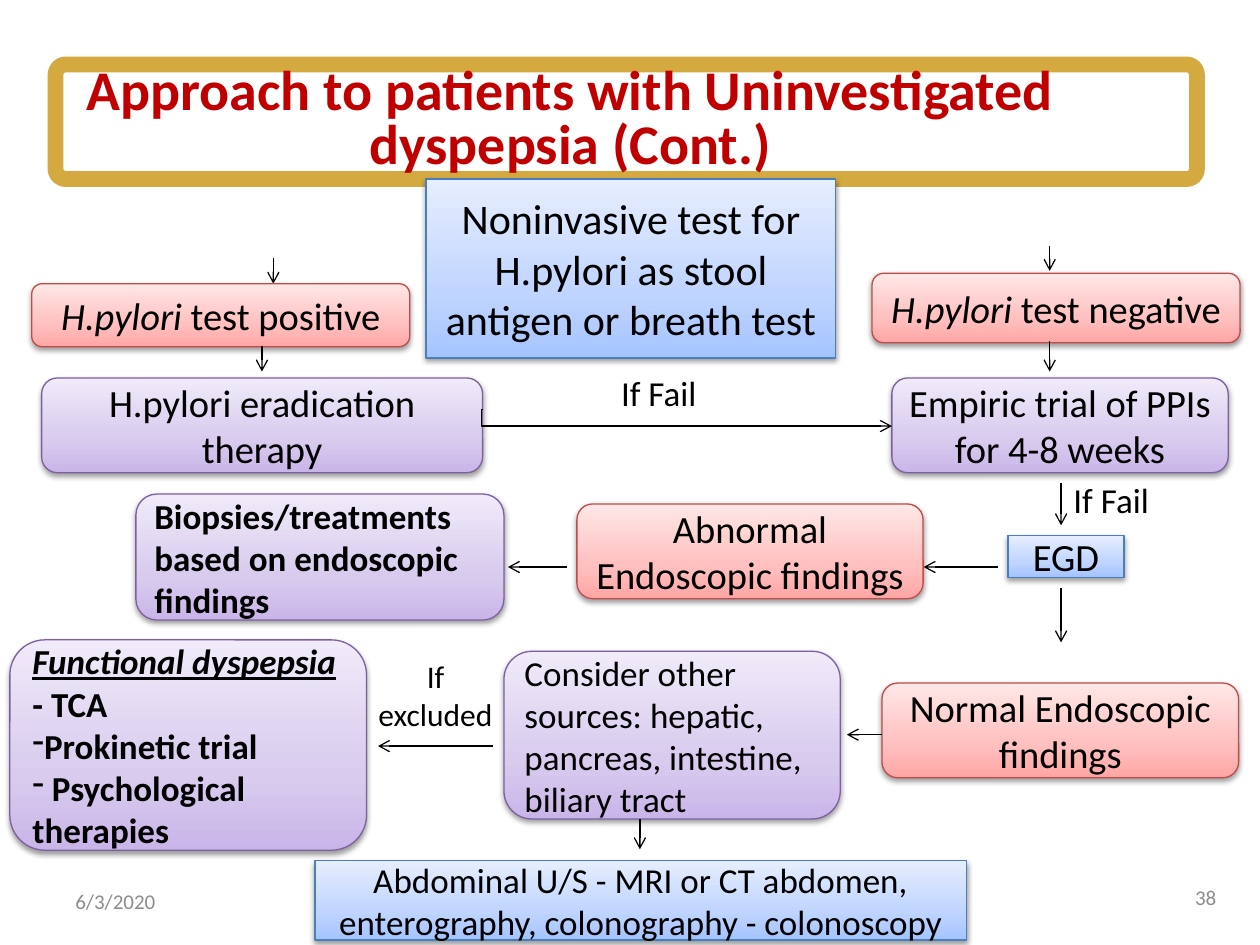
from copy import deepcopy

from lxml.etree import SubElement
from pptx import Presentation
from pptx.dml.color import RGBColor
from pptx.enum.shapes import MSO_CONNECTOR, MSO_SHAPE
from pptx.enum.text import MSO_ANCHOR, PP_ALIGN
from pptx.oxml.ns import qn
from pptx.util import Cm, Pt

COLORS = {"black": "000000", "title": "C00000", "gold": "D4A940", "gray": "8C8C8C"}
# line colour, then gradient stops from the bottom up
SKINS = {
    "red": ("BF4C48", "FFA6A5", "FFC0BF", "FFE7E7"),
    "purple": ("7D60A0", "C9B5E8", "D8CBEE", "F0EAF9"),
    "blue": ("4B7EBC", "A4C4FF", "BFD4FF", "E6EEFF"),
}
LEFT, CENTER, RIGHT = PP_ALIGN.LEFT, PP_ALIGN.CENTER, PP_ALIGN.RIGHT


def rgb(name):
    return RGBColor.from_string(COLORS.get(name, name))


def write(shape, *paras, size=22, color="black", align=CENTER, style="",
          anchor=MSO_ANCHOR.MIDDLE, spacing=None, bullets=()):
    """Fill a shape; a paragraph is text or (text, style) runs, style from b, i, u."""
    frame = shape.text_frame
    frame.word_wrap = True
    frame.vertical_anchor = anchor
    for i, runs in enumerate(paras):
        para = frame.add_paragraph() if i else frame.paragraphs[0]
        para.alignment = align
        if spacing:
            para.line_spacing = spacing
        if i in bullets:
            props = para._p.get_or_add_pPr()
            props.set("marL", "0")
            props.set("indent", "0")
            SubElement(props, qn("a:buChar"), char="-")
        for text, marks in [(runs, style)] if isinstance(runs, str) else runs:
            run = para.add_run()
            run.text = text
            font = run.font
            font.name, font.size = "Calibri", Pt(size)
            font.color.rgb = rgb(color)
            font.bold, font.italic = "b" in marks, "i" in marks
            font.underline = "u" in marks


def shade(shape):
    """Give a shape a soft shadow below it."""
    shape.shadow.inherit = False
    effects = shape._element.spPr.find(qn("a:effectLst"))
    outer = SubElement(effects, qn("a:outerShdw"), blurRad="40000", dist="20000",
                       dir="5400000", rotWithShape="0")
    tint = SubElement(outer, qn("a:srgbClr"), val=COLORS["black"])
    SubElement(tint, qn("a:alpha"), val="38000")


def box(slide, skin, x, y, w, h, *paras, **fmt):
    """Draw a flowchart box; blue ones have square corners."""
    kind = MSO_SHAPE.RECTANGLE if skin == "blue" else MSO_SHAPE.ROUNDED_RECTANGLE
    shape = slide.shapes.add_shape(kind, Cm(x), Cm(y), Cm(w), Cm(h))
    edge, *stops = SKINS[skin]
    shape.fill.gradient()
    shape.fill.gradient_angle = 90
    group = next(shape._element.spPr.iter(qn("a:gsLst")))
    group.append(deepcopy(group[-1]))
    for stop, place, tone in zip(shape.fill.gradient_stops, (0, 0.35, 1), stops):
        stop.position = place
        stop.color.rgb = rgb(tone)
    shape.line.color.rgb = rgb(edge)
    shape.line.width = Pt(0.75)
    shade(shape)
    write(shape, *paras, **fmt)


def label(slide, x, y, w, h, text, **fmt):
    shape = slide.shapes.add_textbox(Cm(x), Cm(y), Cm(w), Cm(h))
    write(shape, text, **{"anchor": MSO_ANCHOR.TOP, **fmt})


def arrow(slide, x1, y1, x2, y2, kind=MSO_CONNECTOR.STRAIGHT):
    line = slide.shapes.add_connector(kind, Cm(x1), Cm(y1), Cm(x2), Cm(y2))
    line.line.color.rgb = rgb("black")
    line.line.width = Pt(0.75)
    SubElement(line.line._get_or_add_ln(), qn("a:tailEnd"), type="arrow")
    SubElement(line._element.spPr, qn("a:effectLst"))
    return line


def header(slide, x, y, w, h):
    frame = slide.shapes.add_shape(MSO_SHAPE.ROUNDED_RECTANGLE, Cm(x), Cm(y), Cm(w), Cm(h))
    frame.adjustments[0] = 0.09
    frame.fill.background()
    frame.line.color.rgb = rgb("gold")
    frame.line.width = Pt(9)
    frame.shadow.inherit = False
    title = slide.shapes.title
    title.left, title.top = Cm(x), Cm(y + 0.38)
    title.width, title.height = Cm(w - 2.26), Cm(1.52)
    write(title, "Approach to patients with Uninvestigated dyspepsia (Cont.)",
          size=32, color="title", style="b", spacing=0.8)
    frame._element.addnext(title._element)


def tests(slide, x, y):
    box(slide, "blue", x + 7.95, y, 8.26, 3.61,
        "Noninvasive test for H.pylori as stool antigen or breath test", size=24)
    arrow(slide, x + 4.87, y + 1.6, x + 4.87, y + 2.11)
    box(slide, "red", x, y + 2.11, 7.62, 1.27,
        [("H.pylori", "i"), (" test positive", "")])
    arrow(slide, x + 20.52, y + 1.34, x + 20.52, y + 1.85)
    box(slide, "red", x + 16.94, y + 1.9, 7.42, 1.4,
        [("H.pylori", "i"), (" test negative", "")])


def therapy(slide, x, y):
    arrow(slide, x + 4.44, y + 0.1, x + 4.44, y + 0.61)
    arrow(slide, x + 20.32, y, x + 20.32, y + 0.61)
    box(slide, "purple", x, y + 0.74, 8.89, 1.91, "H.pylori eradication therapy")
    box(slide, "purple", x + 17.14, y + 0.74, 6.78, 1.91,
        "Empiric trial of PPIs for 4-8 weeks")
    bend = arrow(slide, x + 8.89, y + 1.38, x + 17.14, y + 1.71, MSO_CONNECTOR.ELBOW)
    geom = bend._element.spPr.find(qn("a:prstGeom"))
    SubElement(geom.find(qn("a:avLst")), qn("a:gd"), name="adj1", fmla="val -200")
    label(slide, x + 11.43, y + 0.64, 2.34, 0.94, "If Fail",
          size=20, align=LEFT, spacing=0.8)


def scope(slide, x, y):
    """Place the endoscopy row, which runs from right to left."""
    down, mid = x + 18.65, y + 1.91
    arrow(slide, down, y + 0.21, down, y + 1.07)
    label(slide, down, y, 2.11, 1.12, "If Fail", size=20, align=LEFT)
    box(slide, "blue", x + 17.58, y + 1.28, 2.34, 0.84, "EGD")
    arrow(slide, down, y + 2.34, down, y + 3.43)
    arrow(slide, x + 17.38, mid, x + 15.88, mid)
    box(slide, "red", x + 8.89, y + 0.64, 6.98, 1.91, "Abnormal Endoscopic findings")
    arrow(slide, x + 8.69, mid, x + 7.5, mid)
    box(slide, "purple", x, y + 0.44, 7.42, 2.54, "Biopsies/treatments",
        "based on endoscopic", "findings", size=20, style="b", align=LEFT)


def workup(slide, x, y):
    box(slide, "red", x + 17.58, y + 0.87, 7.19, 1.91, "Normal Endoscopic findings")
    arrow(slide, x + 17.58, y + 1.91, x + 16.87, y + 1.91)
    box(slide, "purple", x + 9.96, y + 0.23, 6.78, 3.38,
        "Consider other sources: hepatic, pancreas, intestine, biliary tract",
        size=20, align=LEFT)
    arrow(slide, x + 9.73, y + 2.14, x + 7.42, y + 2.14)
    label(slide, x + 6.99, y + 0.23, 3.18, 1.8, "If excluded", size=18)
    box(slide, "purple", x, y, 7.19, 4.24, [("Functional dyspepsia", "biu")], "- TCA",
        "Prokinetic trial", " Psychological therapies",
        size=20, style="b", align=LEFT, bullets=(2, 3))
    arrow(slide, x + 12.7, y + 3.61, x + 12.7, y + 4.22)
    box(slide, "blue", x + 6.15, y + 4.45, 13.13, 1.6,
        "Abdominal U/S - MRI or CT abdomen, enterography, colonography - colonoscopy",
        size=20)


def footer(slide, x, y):
    fmt = {"size": 12, "color": "gray", "anchor": MSO_ANCHOR.MIDDLE}
    label(slide, x, y + 0.07, 5.92, 1.02, "6/3/2020", align=LEFT, **fmt)
    label(slide, x + 17.58, y, 5.92, 1.02, "38", align=RIGHT, **fmt)


def main():
    deck = Presentation()
    deck.slide_width, deck.slide_height = Cm(25.4), Cm(19.05)
    slide = deck.slides.add_slide(deck.slide_layouts[5])
    header(slide, 1.12, 1.3, 23.01, 2.31)
    tests(slide, 0.64, 3.61)
    therapy(slide, 0.84, 6.88)
    scope(slide, 2.74, 9.52)
    workup(slide, 0.2, 12.9)
    footer(slide, 1.27, 17.58)
    deck.save("out.pptx")


if __name__ == "__main__":
    main()
